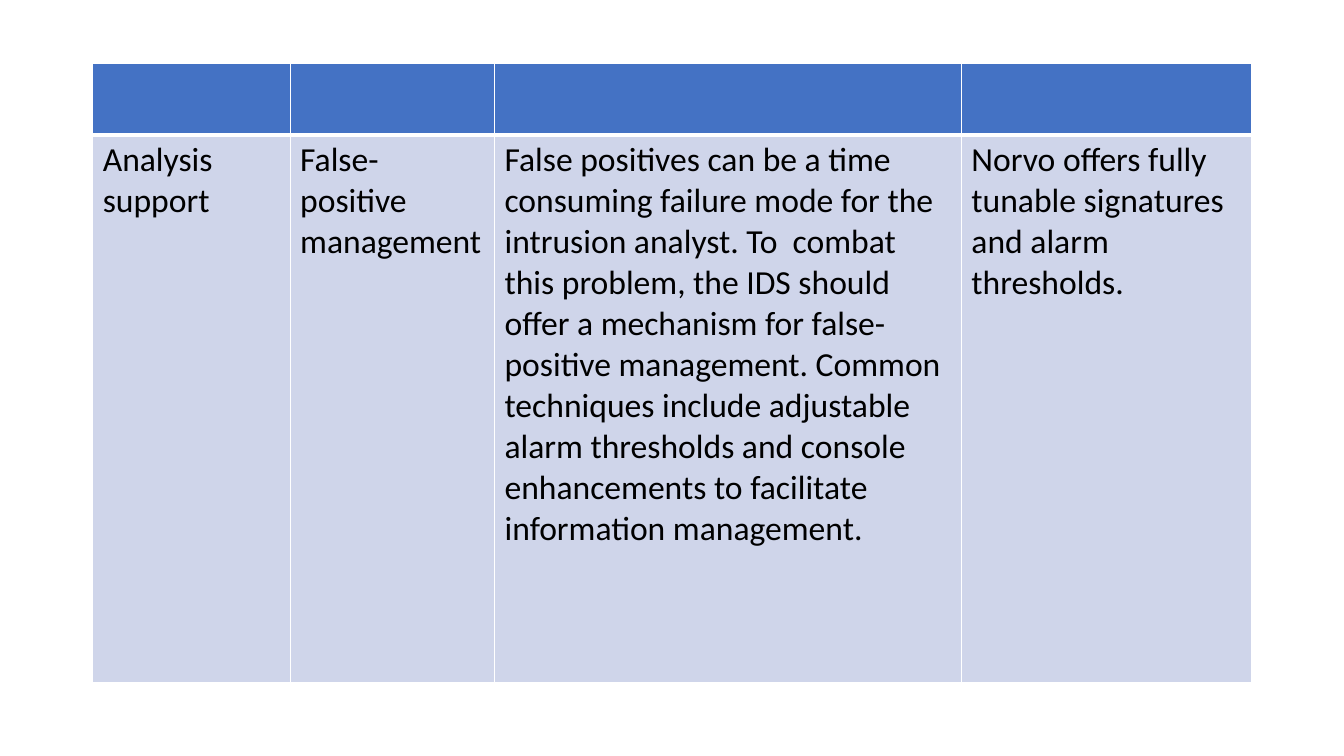
from lxml import etree
from pptx import Presentation
from pptx.dml.color import RGBColor
from pptx.oxml.ns import qn
from pptx.util import Pt

WHITE = RGBColor(0xFF, 0xFF, 0xFF)
BLACK = RGBColor(0x00, 0x00, 0x00)
HEADER_BLUE = RGBColor(0x44, 0x72, 0xC4)
BODY_BLUE = RGBColor(0xCF, 0xD5, 0xEA)

BLANK_LAYOUT = 6
COLUMN_WIDTHS = [141, 146, 333.5, 207.5]
ROW_HEIGHTS = [51, 391]
HEADER_BORDERS = {"lnL": 1, "lnR": 1, "lnT": 1, "lnB": 3}
BODY_BORDERS = {"lnL": 1, "lnR": 1, "lnT": 3, "lnB": 1}

CRITERIA = [
    "Analysis support",
    "False-positive management",
    "False positives can be a time consuming failure mode for the intrusion "
    "analyst. To  combat this problem, the IDS should offer a mechanism for "
    "false-positive management. Common techniques include adjustable alarm "
    "thresholds and console enhancements to facilitate information management.",
    "Norvo offers fully tunable signatures and alarm thresholds.",
]


class SlideBuilder:
    text_format = {"name": "Calibri", "size": Pt(24), "bold": False}

    def __init__(self, slide):
        self.slide = slide

    def table(self, left, top, widths, heights):
        frame = self.slide.shapes.add_table(
            len(heights), len(widths), Pt(left), Pt(top),
            Pt(sum(widths)), Pt(sum(heights)))
        grid = frame.table
        for column, width in zip(grid.columns, widths):
            column.width = Pt(width)
        for row, height in zip(grid.rows, heights):
            row.height = Pt(height)
        return grid

    def cell(self, cell, fill, borders, text=""):
        cell.fill.solid()
        cell.fill.fore_color.rgb = fill
        self.borders(cell, borders)
        if text:
            cell.text = text
            font = cell.text_frame.paragraphs[0].runs[0].font
            for attribute, value in self.text_format.items():
                setattr(font, attribute, value)
            font.color.rgb = BLACK

    def borders(self, cell, widths):
        """Put the border lines ahead of the fill, as the schema requires."""
        properties = cell._tc.get_or_add_tcPr()
        for position, (side, width) in enumerate(widths.items()):
            line = etree.Element(qn(f"a:{side}"), w=str(Pt(width)))
            solid = etree.SubElement(line, qn("a:solidFill"))
            etree.SubElement(solid, qn("a:srgbClr"), val=str(WHITE))
            properties.insert(position, line)


def main():
    presentation = Presentation()
    presentation.slide_width = Pt(960)
    presentation.slide_height = Pt(540)
    layout = presentation.slide_layouts[BLANK_LAYOUT]
    builder = SlideBuilder(presentation.slides.add_slide(layout))

    criteria_table = builder.table(66.24, 45.36, COLUMN_WIDTHS, ROW_HEIGHTS)
    for column, criterion in enumerate(CRITERIA):
        builder.cell(criteria_table.cell(0, column), HEADER_BLUE, HEADER_BORDERS)
        builder.cell(criteria_table.cell(1, column), BODY_BLUE, BODY_BORDERS, criterion)

    presentation.save("out.pptx")


if __name__ == "__main__":
    main()
